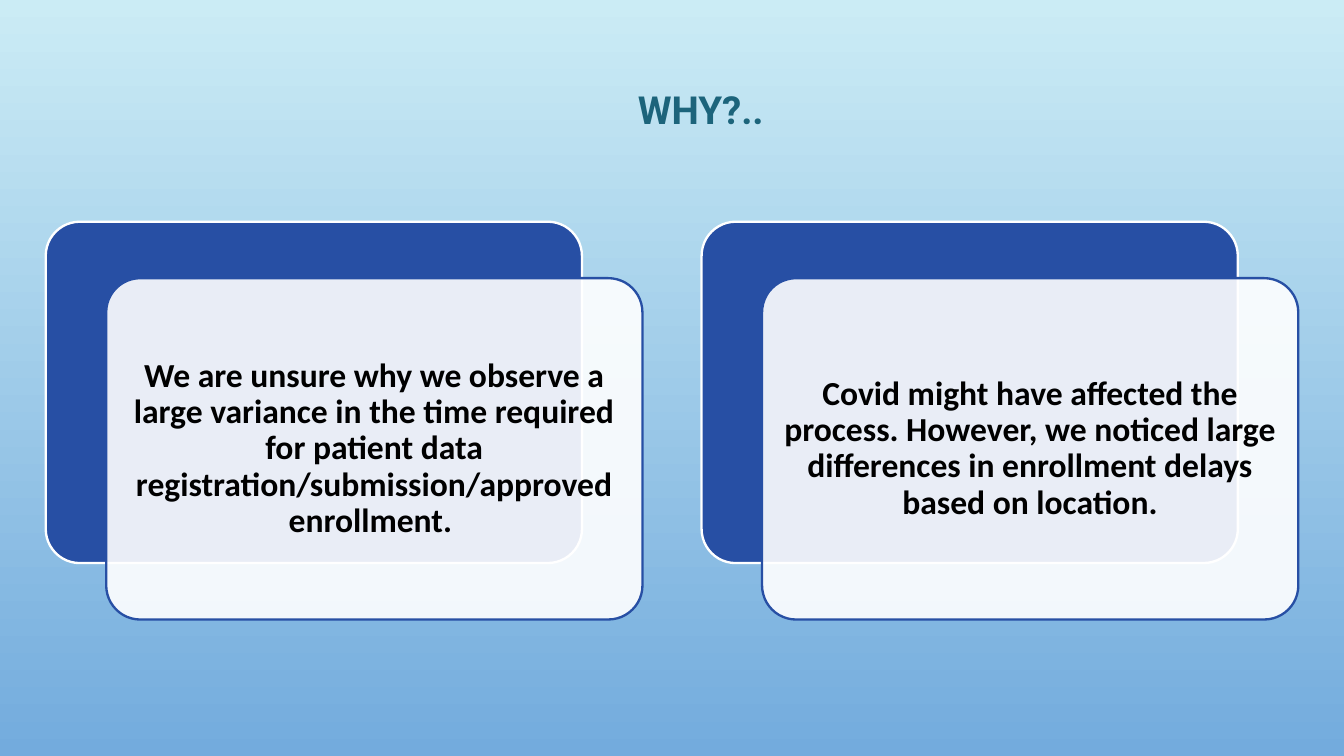
import pptx
import pptx.util
import pptx.dml.color
import pptx.enum.shapes
import pptx.enum.text
import lxml.etree

PX = 4572
HUES = {
    "sky": "CBECF5",
    "sea": "73ABDD",
    "teal": "1C647B",
    "blue": "274FA4",
    "white": "FFFFFF",
    "black": "000000",
}
CARDS = [
    "We are unsure why we observe a large variance in the time required "
    "for patient data registration/submission/approved enrollment. ",
    "Covid might have affected the process. However, we noticed large "
    "differences in enrollment delays based on location.",
]


def rgb(name):
    return pptx.dml.color.RGBColor.from_string(HUES[name])


def scale(*sizes):
    return [pptx.util.Emu(size * PX) for size in sizes]


def paint(slide):
    fill = slide.background.fill
    fill.gradient()
    fill.gradient_angle = 270
    for stop, name in zip(fill.gradient_stops, ("sky", "sea")):
        stop.color.rgb = rgb(name)


def write(slide, box, text, font, size, hue, inset, lead, after):
    frame = slide.shapes.add_textbox(*scale(*box)).text_frame
    frame.word_wrap = True
    frame.margin_left = frame.margin_right = inset * PX
    frame.margin_top = frame.margin_bottom = inset * PX
    frame.text = text
    para = frame.paragraphs[0]
    para.alignment = pptx.enum.text.PP_ALIGN.CENTER
    para.line_spacing = lead
    para.space_after = pptx.util.Pt(after)
    face = para.runs[0].font
    face.name = font
    face.size = pptx.util.Pt(size)
    face.bold = True
    face.color.rgb = rgb(hue)
    return frame


def title(slide, box):
    frame = write(slide, box, "WHY?.. ", "Roboto", 20.7, "teal", 20, 1.15, 12)
    props = frame.paragraphs[0]._p.get_or_add_pPr()
    props.set("marL", str(100 * PX))
    props.set("indent", "0")


def panel(slide, box, fill, line):
    kind = pptx.enum.shapes.MSO_SHAPE.ROUNDED_RECTANGLE
    shape = slide.shapes.add_shape(kind, *scale(*box))
    shape.shadow.inherit = False
    shape.adjustments[0] = 0.1
    shape.fill.solid()
    shape.fill.fore_color.rgb = rgb(fill)
    shape.line.color.rgb = rgb(line)
    shape.line.width = pptx.util.Pt(1.25)
    return shape


def fade(shape, share):
    tag = pptx.oxml.ns.qn("a:srgbClr")
    tint = shape.fill._xPr.find(".//" + tag)
    alpha = lxml.etree.SubElement(tint, pptx.oxml.ns.qn("a:alpha"))
    alpha.set("val", str(share * 1000))


def card(slide, box, text):
    left, top, wide, high = box
    step, drop, pad = 90, 84, 15
    wide, high = wide - step, high - drop
    panel(slide, (left, top, wide, high), "blue", "white")
    left, top = left + step, top + drop
    front = panel(slide, (left, top, wide, high), "white", "blue")
    fade(front, 90)
    inner = (left + pad, top + pad, wide - 2 * pad, high - 2 * pad)
    frame = write(slide, inner, text, "Calibri", 18, "black", 14, 0.9, 6.3)
    frame.vertical_anchor = pptx.enum.text.MSO_ANCHOR.MIDDLE


def main():
    deck = pptx.Presentation()
    deck.slide_width, deck.slide_height = scale(2000, 1125)
    slide = deck.slides.add_slide(deck.slide_layouts[6])
    paint(slide)
    title(slide, (68, 98, 1864, 126))
    for index, text in enumerate(CARDS):
        card(slide, (68 + index * 976, 330, 888, 592), text)
    deck.save("out.pptx")


if __name__ == "__main__":
    main()
